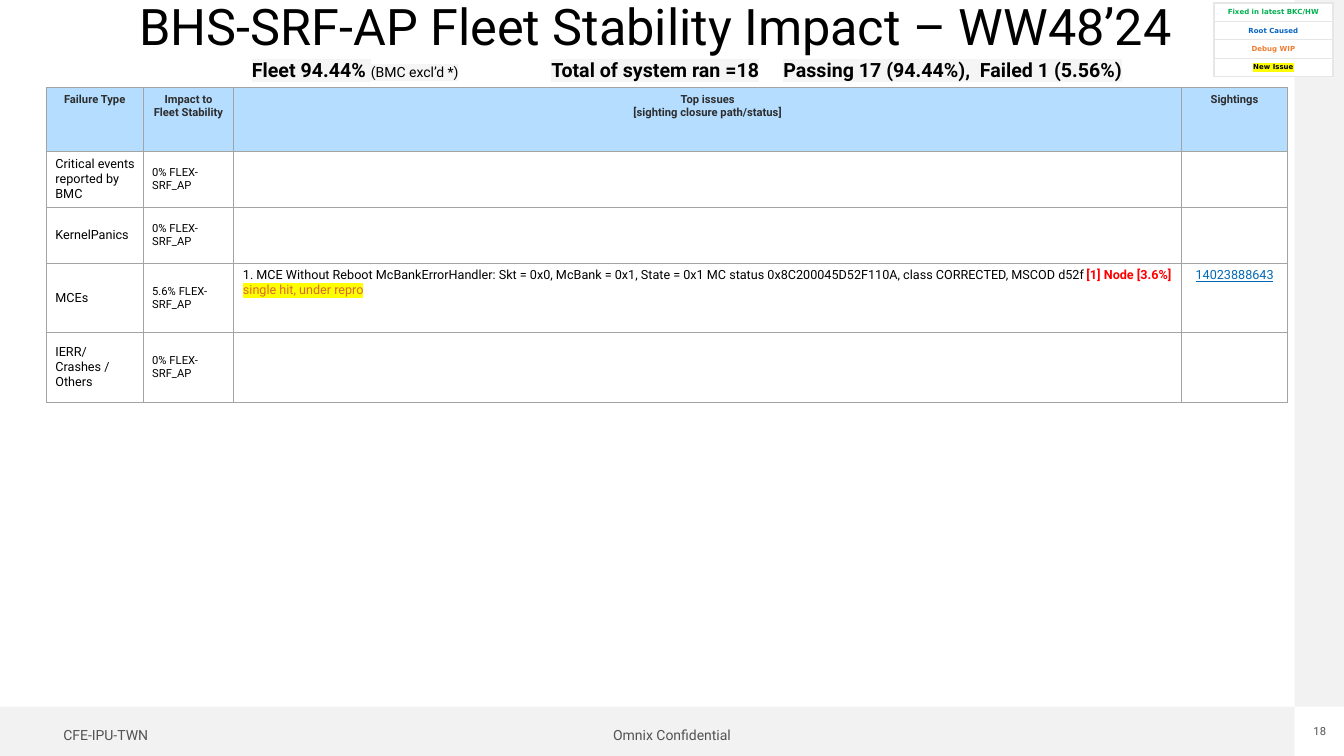
from lxml.etree import SubElement
from pptx import Presentation
from pptx.dml.color import RGBColor
from pptx.enum.shapes import MSO_SHAPE
from pptx.enum.text import MSO_ANCHOR, MSO_AUTO_SIZE, PP_ALIGN
from pptx.oxml import parse_xml
from pptx.oxml.ns import nsdecls, qn
from pptx.util import Emu, Inches, Pt

COLORS = {
    "white": "FFFFFF", "black": "000000", "band": "F2F2F2", "footer": "525252",
    "header": "B4DDFF", "heading": "2D2D2D", "grid": "A3A3A3", "pale": "E7E6E6",
    "mark": "F5F5F5", "yellow": "FFFF00", "green": "00B050", "blue": "0563C1",
    "orange": "ED7D31", "red": "FF0000", "rust": "D96930", "link": "0068B5",
}
FONT = "Roboto"
WIDTH, HEIGHT = 13.33, 7.5
BAND = 0.49

COLUMNS = [0.96, 0.9, 9.4, 1.05]
ROWS = [0.63, 0.56, 0.55, 0.69, 0.69]
HEADINGS = [["Failure Type"], ["Impact to Fleet Stability"],
            ["Top issues", "[sighting closure path/status]"], ["Sightings"]]
FAILURES = [
    ("Critical events reported by BMC", "0%"),
    ("KernelPanics", "0%"),
    ("MCEs", "5.6%"),
    ("IERR/ Crashes / Others", "0%"),
]
MCE_ROW = 3
MCE_ISSUE = [
    ("1. MCE Without Reboot McBankErrorHandler: Skt = 0x0, McBank = 0x1, "
     "State = 0x1 MC status 0x8C200045D52F110A, class CORRECTED, MSCOD d52f ", {}),
    ("[1] Node [3.6%] ", {"color": "red", "bold": True}),
    ("single hit, under repro", {"color": "rust", "mark": "yellow"}),
]
LEGEND = [
    ("Fixed in latest BKC/HW", "green", None),
    ("Root Caused", "blue", None),
    ("Debug WIP", "orange", None),
    ("New Issue", "black", "yellow"),
]


def rgb(name):
    return RGBColor.from_string(COLORS[name])


def add_run(paragraph, text, size, color="black", bold=False, mark=None,
            underline=False, font=FONT):
    run = paragraph.add_run()
    run.text = text
    run.font.size = Pt(size)
    run.font.name = font
    run.font.bold = bold
    run.font.underline = underline
    run.font.color.rgb = rgb(color)
    if mark:
        run.font.fill._xPr.find(qn("a:solidFill")).addnext(parse_xml(
            f'<a:highlight {nsdecls("a")}><a:srgbClr val="{COLORS[mark]}"/></a:highlight>'))


def style_paragraph(paragraph, align=PP_ALIGN.LEFT, spacing=1.0):
    paragraph.alignment = align
    paragraph.line_spacing = spacing
    return paragraph


def add_label(slide, box, align, inset=0.1):
    label = slide.shapes.add_textbox(*map(Inches, box))
    frame = label.text_frame
    frame.word_wrap = True
    frame.margin_left = frame.margin_right = Inches(inset)
    frame.margin_top = frame.margin_bottom = Inches(inset / 2)
    return style_paragraph(frame.paragraphs[0], align, 0.9)


def add_page_frame(slide, width, height):
    right, bottom = width - BAND, height - BAND
    for box in [(0, bottom, right, BAND), (right, 0, BAND, bottom)]:
        band = slide.shapes.add_shape(MSO_SHAPE.RECTANGLE, *map(Inches, box))
        band.shadow.inherit = False
        band.fill.solid()
        band.fill.fore_color.rgb = rgb("band")
        band.line.fill.background()
    footers = [
        ("Omnix Confidential", (width / 2 - 1, bottom + 0.17, 2, 0.25), PP_ALIGN.CENTER, 10, 0.1),
        ("CFE-IPU-TWN", (0.53, bottom + 0.17, 1.3, 0.25), PP_ALIGN.LEFT, 10, 0.1),
        ("18", (right + 0.1, bottom + 0.19, 0.3, 0.13), PP_ALIGN.CENTER, 8, 0),
    ]
    for text, box, align, size, inset in footers:
        add_run(add_label(slide, box, align, inset), text, size, "footer")


def add_heading(slide, left, top, width, height):
    title = slide.shapes.title
    title.left, title.top, title.width, title.height = map(Inches, (left, top, width, height))
    frame = title.text_frame
    frame.auto_size = MSO_AUTO_SIZE.NONE
    frame.word_wrap = True
    frame.vertical_anchor = MSO_ANCHOR.MIDDLE
    frame.margin_left = frame.margin_right = frame.margin_top = frame.margin_bottom = 0
    add_run(style_paragraph(frame.paragraphs[0], PP_ALIGN.CENTER, 0.9),
            "BHS-SRF-AP Fleet Stability Impact – WW48’24", 36)


def add_summary(slide, left, top, width, height):
    summary = add_label(slide, (left, top, width, height), PP_ALIGN.LEFT)
    stops = SubElement(summary._p.get_or_add_pPr(), qn("a:tabLst"))
    for stop in (2.36, 5.33, 7.63):
        SubElement(stops, qn("a:tab"), pos=str(Inches(stop)), algn="l")
    add_run(summary, "\t", 14)
    add_run(summary, "Fleet 94.44%", 14, bold=True, mark="mark")
    add_run(summary, " ", 14, mark="mark")
    add_run(summary, "(BMC excl’d *)", 10, mark="mark")
    for part in ("Total of system ran =18", "Passing 17 (94.44%),  Failed 1 (5.56%)"):
        add_run(summary, "\t", 14)
        add_run(summary, part, 14, bold=True, mark="mark")


def add_grid(slide, left, top, columns, rows, border, weight):
    frame = slide.shapes.add_table(len(rows), len(columns), *map(
        Inches, (left, top, sum(columns), sum(rows))))
    table = frame.table
    table.first_row = table.horz_banding = False
    for column, width in zip(table.columns, columns):
        column.width = Inches(width)
    for row, height in zip(table.rows, rows):
        row.height = Inches(height)
    for cell in table.iter_cells():
        cell.margin_left = cell.margin_right = Inches(0.09)
        cell.margin_top = cell.margin_bottom = Inches(0.05)
        fill_cell(cell, "white")
        for index, side in enumerate(("lnL", "lnR", "lnT", "lnB")):
            cell._tc.get_or_add_tcPr().insert(index, parse_xml(
                f'<a:{side} {nsdecls("a")} w="{Emu(Pt(weight))}"><a:solidFill>'
                f'<a:srgbClr val="{COLORS[border]}"/></a:solidFill></a:{side}>'))
    return table


def fill_cell(cell, color):
    cell.fill.solid()
    cell.fill.fore_color.rgb = rgb(color)


def add_legend(slide, left, top, width, height):
    rows = [height / len(LEGEND)] * len(LEGEND)
    table = add_grid(slide, left, top, [width], rows, "pale", 1)
    for cell, (text, color, mark) in zip(table.iter_cells(), LEGEND):
        cell.vertical_anchor = MSO_ANCHOR.MIDDLE
        cell.margin_top = cell.margin_bottom = Inches(0.04)
        status = style_paragraph(cell.text_frame.paragraphs[0], PP_ALIGN.CENTER)
        add_run(status, text, 5, color, True, mark, font="DejaVu Sans")


def add_failures(slide, left, top):
    table = add_grid(slide, left, top, COLUMNS, ROWS, "grid", 0.9)
    for column, lines in enumerate(HEADINGS):
        cell = table.cell(0, column)
        fill_cell(cell, "header")
        for index, line in enumerate(lines):
            frame = cell.text_frame
            heading = frame.add_paragraph() if index else frame.paragraphs[0]
            add_run(style_paragraph(heading, PP_ALIGN.CENTER), line, 8, "heading", True)
    for row, (failure, impact) in enumerate(FAILURES, 1):
        for column, (text, size) in enumerate([(failure, 9), (f"{impact} FLEX-SRF_AP", 8)]):
            cell = table.cell(row, column)
            cell.vertical_anchor = MSO_ANCHOR.MIDDLE
            cell.margin_right = Inches(0.02)
            add_run(style_paragraph(cell.text_frame.paragraphs[0]), text, size)
    issue = style_paragraph(table.cell(MCE_ROW, 2).text_frame.paragraphs[0])
    for text, look in MCE_ISSUE:
        add_run(issue, text, 9, **look)
    sighting = table.cell(MCE_ROW, 3).text_frame.paragraphs[0]
    add_run(style_paragraph(sighting, PP_ALIGN.CENTER), "14023888643", 9, "link", underline=True)


def main():
    deck = Presentation()
    deck.slide_width, deck.slide_height = Inches(WIDTH), Inches(HEIGHT)
    slide = deck.slides.add_slide(deck.slide_layouts[5])
    add_page_frame(slide, WIDTH, HEIGHT)
    add_heading(slide, -0.13, -0.05, 13.27, 0.68)
    add_summary(slide, 0.04, 0.55, 12.22, 0.31)
    add_legend(slide, 12.04, 0.03, 1.18, 0.73)
    add_failures(slide, 0.46, 0.87)
    deck.save("out.pptx")


if __name__ == "__main__":
    main()
